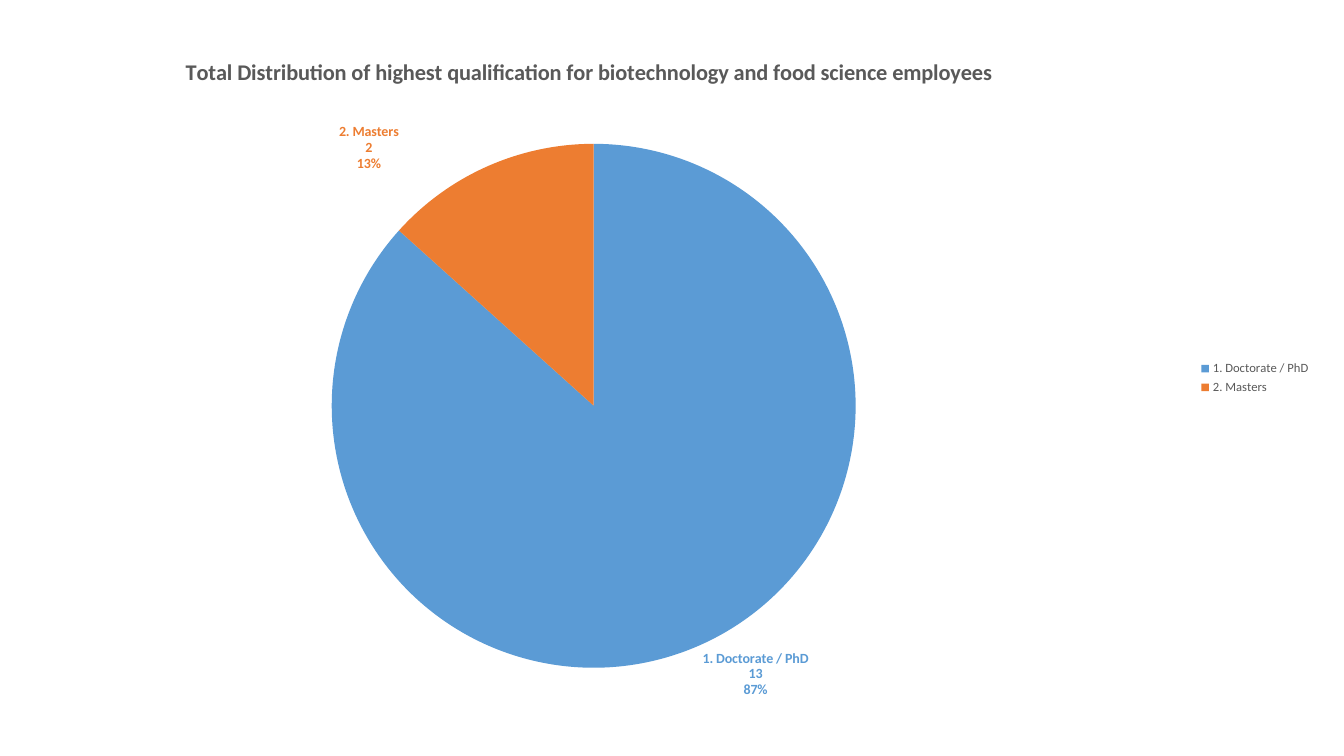
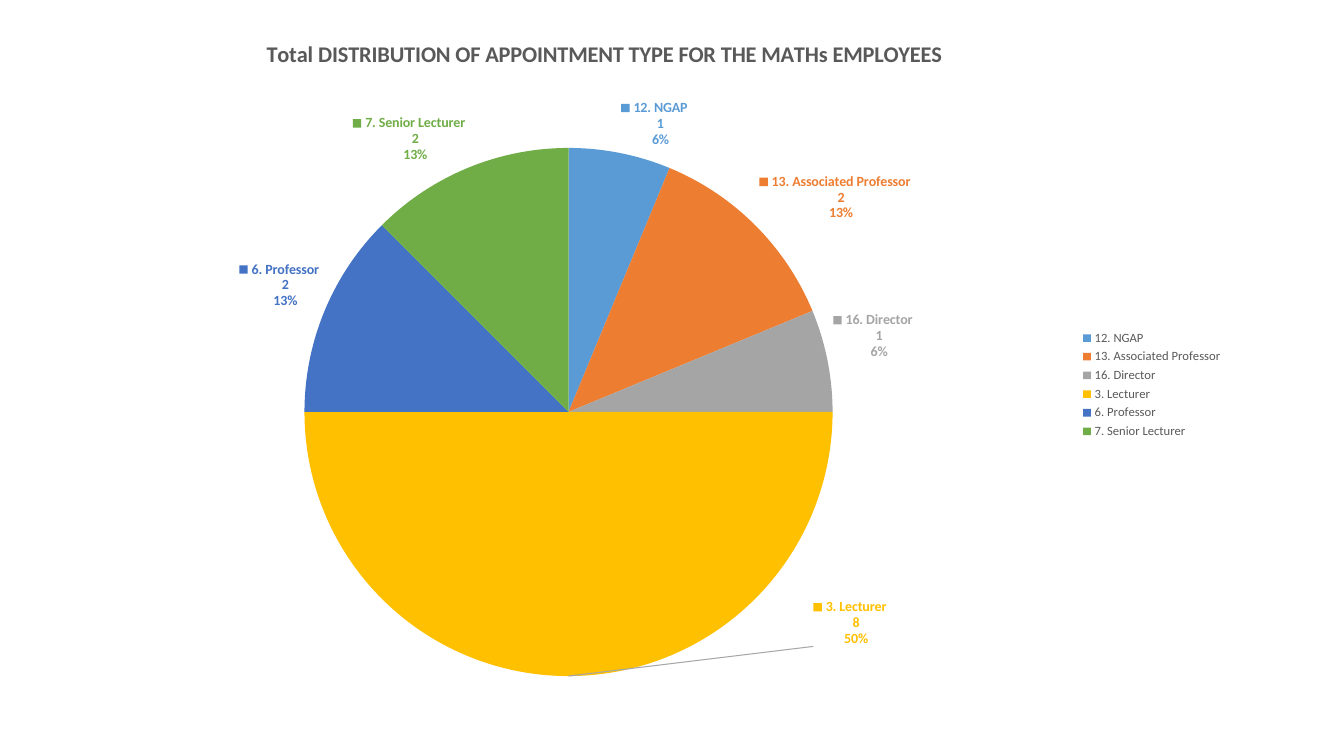
from pptx import Presentation
from pptx.chart.data import CategoryChartData
from pptx.dml.color import RGBColor
from pptx.enum.chart import XL_CHART_TYPE, XL_LEGEND_POSITION
from pptx.oxml import parse_xml
from pptx.oxml.ns import nsdecls, qn
from pptx.util import Pt

PX = 9525
FONT = "Calibri"
BLACK = RGBColor(0x00, 0x00, 0x00)
GREY = RGBColor(0x59, 0x59, 0x59)
LINE = RGBColor(0xA6, 0xA6, 0xA6)
HUES = [
    RGBColor(0x5B, 0x9B, 0xD5),
    RGBColor(0xED, 0x7D, 0x31),
    RGBColor(0xA5, 0xA5, 0xA5),
    RGBColor(0xFF, 0xC0, 0x00),
    RGBColor(0x44, 0x72, 0xC4),
    RGBColor(0x70, 0xAD, 0x47),
]


def style(font, size, color, bold=False):
    font.name = FONT
    font.size = Pt(size)
    font.color.rgb = color
    font.bold = bold


def place(node, index, **spots):
    old = node.find(qn("c:layout"))
    if old is not None:
        node.remove(old)
    modes = ""
    if "w" in spots:
        modes = '<c:layoutTarget val="inner"/>'
    if "shift" not in spots:
        modes += '<c:xMode val="edge"/><c:yMode val="edge"/>'
    sizes = "".join(
        f'<c:{key} val="{spots[key]:.4f}"/>' for key in "xywh" if key in spots
    )
    node.insert(index, parse_xml(
        f'<c:layout {nsdecls("c")}><c:manualLayout>{modes}{sizes}'
        "</c:manualLayout></c:layout>"
    ))


class Deck:
    def __init__(self):
        self.file = Presentation()
        self.file.slide_width = 1280 * PX
        self.file.slide_height = 720 * PX
        self.slide = None

    def page(self):
        self.slide = self.file.slides.add_slide(self.file.slide_layouts[6])

    def pie(self, box, names, counts, disc, moves, keys):
        data = CategoryChartData()
        data.categories = names
        data.add_series("Series 1", counts)
        frame = self.slide.shapes.add_chart(
            XL_CHART_TYPE.PIE, *(side * PX for side in box), data
        )
        chart = frame.chart
        style(chart.font, 10, BLACK)
        chart.has_legend = True
        chart.legend.position = XL_LEGEND_POSITION.RIGHT
        chart.legend.include_in_layout = False
        style(chart.legend.font, 9, GREY)
        left, top, wide, high = box
        x, y, size = disc
        area = chart.plots[0]._element.getparent()
        place(area, 0, x=(x - left) / wide, y=(y - top) / high,
              w=size / wide, h=size / high)
        plot = chart.plots[0]
        plot.vary_by_categories = True
        series = plot.series[0]
        for slot in range(len(names)):
            fill = series.points[slot].format.fill
            fill.solid()
            fill.fore_color.rgb = HUES[slot]
        self.label(series, len(names), box, moves, keys)
        return chart

    def label(self, series, count, box, moves, keys):
        def look(hue):
            return (
                "<c:spPr><a:noFill/><a:ln><a:noFill/></a:ln></c:spPr>"
                "<c:txPr><a:bodyPr/><a:p><a:pPr><a:defRPr sz=\"1000\" b=\"1\">"
                f'<a:solidFill><a:srgbClr val="{hue}"/></a:solidFill>'
                f'<a:latin typeface="{FONT}"/></a:defRPr></a:pPr>'
                '<a:endParaRPr lang="en-US"/></a:p></c:txPr>'
                f'<c:dLblPos val="outEnd"/><c:showLegendKey val="{keys:d}"/>'
                '<c:showVal val="1"/><c:showCatName val="1"/>'
                '<c:showSerName val="0"/><c:showPercent val="1"/>'
                '<c:showBubbleSize val="0"/><c:separator>\n</c:separator>'
            )

        items = "".join(
            f'<c:dLbl><c:idx val="{slot}"/>{look(HUES[slot])}</c:dLbl>'
            for slot in range(count)
        )
        group = parse_xml(
            f'<c:dLbls {nsdecls("c", "a")}>{items}{look(HUES[0])}'
            f'<c:showLeaderLines val="{keys:d}"/><c:leaderLines><c:spPr>'
            f'<a:ln w="9525"><a:solidFill><a:srgbClr val="{LINE}"/>'
            "</a:solidFill></a:ln></c:spPr></c:leaderLines></c:dLbls>"
        )
        for slot, (across, down) in moves.items():
            place(group[slot], 1, x=across / box[2], y=down / box[3], shift=True)
        series._element.find(qn("c:cat")).addprevious(group)

    def title(self, chart, box, text, spot):
        chart.has_title = True
        title = chart.chart_title
        title.include_in_layout = False
        run = title.text_frame.paragraphs[0].add_run()
        run.text = text
        style(run.font, 16, GREY, True)
        place(title._element, 1, x=(spot[0] - box[0]) / box[2],
              y=(spot[1] - box[1]) / box[3])

    def save(self):
        self.file.save("out.pptx")


def main():
    deck = Deck()
    pages = [
        (
            "Total Distribution of highest qualification for biotechnology "
            "and food science employees",
            (173, 50), (16, 31, 1242, 658),
            ["1. Doctorate / PhD", "2. Masters"], [13, 2],
            (316, 137, 499), {1: (-82, 10)}, False,
        ),
        (
            "Total DISTRIBUTION OF APPOINTMENT TYPE FOR THE MATHs EMPLOYEES",
            (250, 33), (91, 25, 1083, 683),
            ["12. NGAP", "13. Associated Professor", "16. Director",
             "3. Lecturer", "6. Professor", "7. Senior Lecturer"],
            [1, 2, 1, 8, 2, 2],
            (290, 141, 503), {3: (268, -79)}, True,
        ),
    ]
    for text, spot, box, names, counts, disc, moves, keys in pages:
        deck.page()
        chart = deck.pie(box, names, counts, disc, moves, keys)
        deck.title(chart, box, text, spot)
    deck.save()


if __name__ == "__main__":
    main()
